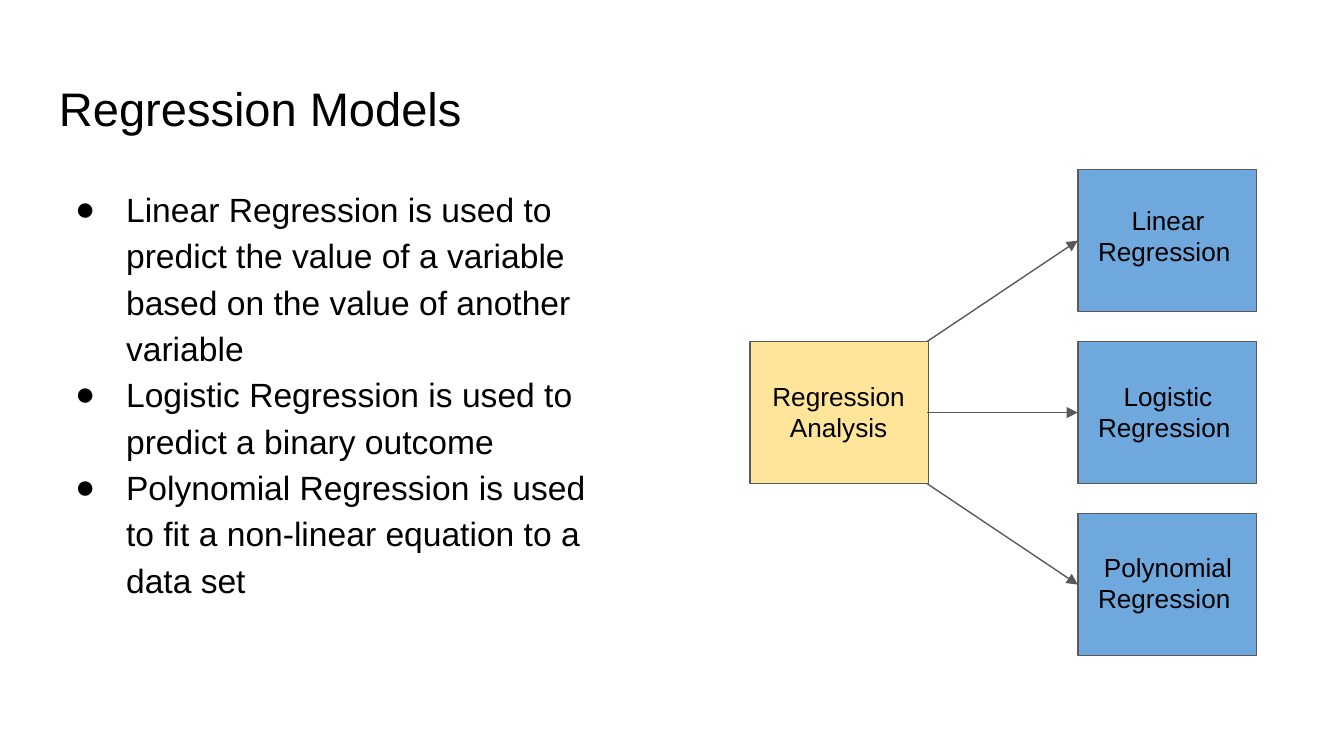
from lxml import etree
from pptx import Presentation
from pptx.dml.color import RGBColor
from pptx.enum.shapes import MSO_CONNECTOR, MSO_SHAPE
from pptx.enum.text import PP_ALIGN
from pptx.oxml.ns import qn
from pptx.util import Inches, Pt

COLORS = {"text": "000000", "line": "595959", "root": "FFE599", "model": "6FA8DC"}
FONT = "Arial"

BOX_W, BOX_H = 1.33, 1.06
ROOT_X, MODEL_X = 5.58, 8.02
FIRST_Y, ROW_STEP = 1.26, 1.28
ROOT_Y = FIRST_Y + ROW_STEP
LABEL_W, LABEL_H = 1.32, 0.67

BULLETS = [
    "Linear Regression is used to predict the value of a variable "
    "based on the value of another variable",
    "Logistic Regression is used to predict a binary outcome",
    "Polynomial Regression is used to fit a non-linear equation to a data set",
]
# Model label, top of its label
MODELS = [
    ("Linear Regression ", 1.42),
    ("Logistic Regression ", 2.73),
    ("Polynomial Regression ", 4),
]


def color(name):
    return RGBColor.from_string(COLORS[name])


def add_text(s, x, y, w, h, lines, size, align=PP_ALIGN.LEFT):
    tf = s.shapes.add_textbox(Inches(x), Inches(y), Inches(w), Inches(h)).text_frame
    tf.word_wrap = True
    tf.margin_left = tf.margin_right = tf.margin_top = tf.margin_bottom = Inches(0.1)
    tf.text = "\n".join(lines)
    for p in tf.paragraphs:
        p.alignment = align
        p.font.name = FONT
        p.font.size = Pt(size)
        p.font.color.rgb = color("text")
    return tf


def add_bullets(tf):
    for p in tf.paragraphs:
        p.line_spacing = 1.15
        pPr = p._p.get_or_add_pPr()
        pPr.set("marL", str(Inches(0.5)))
        pPr.set("indent", str(Inches(-0.38)))
        run_defaults = pPr.find(qn("a:defRPr"))
        run_defaults.addprevious(etree.Element(qn("a:buFont"), typeface=FONT))
        run_defaults.addprevious(etree.Element(qn("a:buChar"), char="●"))


def add_box(s, x, y, fill):
    sp = s.shapes.add_shape(
        MSO_SHAPE.RECTANGLE, Inches(x), Inches(y), Inches(BOX_W), Inches(BOX_H)
    )
    sp.shadow.inherit = False
    sp.fill.solid()
    sp.fill.fore_color.rgb = color(fill)
    sp.line.color.rgb = color("line")
    sp.line.width = Pt(0.75)


def add_label(s, x, y, text):
    add_text(s, x, y, LABEL_W, LABEL_H, [text], 14, PP_ALIGN.CENTER)


def add_arrow(s, x1, y1, x2, y2):
    c = s.shapes.add_connector(
        MSO_CONNECTOR.STRAIGHT, Inches(x1), Inches(y1), Inches(x2), Inches(y2)
    )
    c.line.color.rgb = color("line")
    c.line.width = Pt(0.75)
    etree.SubElement(c.line._get_or_add_ln(), qn("a:tailEnd"), type="triangle")
    etree.SubElement(c._element.spPr, qn("a:effectLst"))


def main():
    prs = Presentation()
    prs.slide_width = Inches(10)
    prs.slide_height = Inches(10 * 9 / 16)
    s = prs.slides.add_slide(prs.slide_layouts[6])

    add_text(s, 0.34, 0.49, 9.32, 0.63, ["Regression Models"], 25.2)
    add_bullets(add_text(s, 0.34, 1.26, 4.23, 3.74, BULLETS, 18))

    add_box(s, ROOT_X, ROOT_Y, "root")
    add_label(s, ROOT_X, 2.73, "Regression Analysis")
    for i, (text, label_y) in enumerate(MODELS):
        y = FIRST_Y + i * ROW_STEP
        add_box(s, MODEL_X, y, "model")
        add_label(s, MODEL_X + 0.01, label_y, text)
        # Arrows leave the root box at its top corner, middle and bottom corner
        add_arrow(
            s, ROOT_X + LABEL_W, ROOT_Y + i * BOX_H / 2, MODEL_X, y + BOX_H / 2
        )

    prs.save("out.pptx")


if __name__ == "__main__":
    main()
